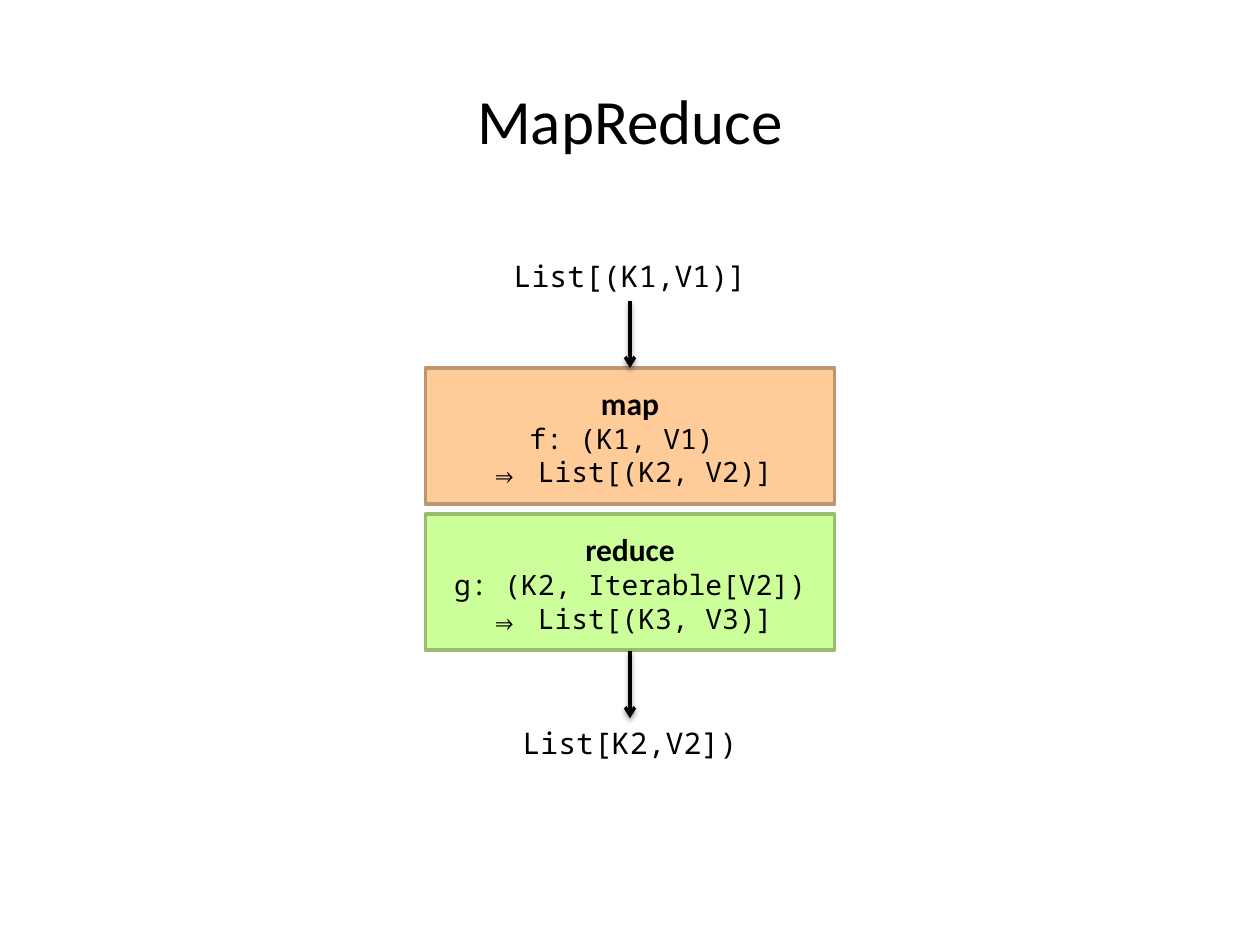
from typing import NamedTuple

import pptx
import pptx.dml.color
import pptx.enum.shapes
import pptx.enum.text
import pptx.oxml
import pptx.util
from pptx.util import Inches

SANS, MONO = "Calibri", "Noto Sans Mono"
BLACK = "000000"
CENTER_X = 5
STAGE_W, STAGE_H = 3.25, 1.08
LABEL_W, LABEL_H = 3.33, 0.39
NS = 'xmlns:a="http://schemas.openxmlformats.org/drawingml/2006/main"'
SHADOW = (
    f'<a:effectLst {NS}><a:outerShdw blurRad="{pptx.util.Pt(3.1)}" '
    f'dist="{pptx.util.Pt(1.6)}" dir="5400000" rotWithShape="0">'
    f'<a:srgbClr val="{BLACK}"><a:alpha val="38000"/></a:srgbClr>'
    "</a:outerShdw></a:effectLst>"
)


class Line(NamedTuple):
    text: str
    size: float
    font: str
    bold: bool = False


class Stage(NamedTuple):
    name: str
    signature: list[str]
    top: float
    fill: str
    border: str


class Label(NamedTuple):
    line: Line
    left: float
    top: float
    width: float
    height: float


STAGES = [
    Stage("map", ["f: (K1, V1) ", "⇒ List[(K2, V2)]"], 2.92, "FFCC99", "BD9771"),
    Stage("reduce", ["g: (K2, Iterable[V2]) ⇒ List[(K3, V3)]"], 4.08, "CCFF99", "97BD71"),
]
LABEL_X = CENTER_X - LABEL_W / 2
LABELS = [
    Label(Line("MapReduce", 36, SANS), 0, 0.6, 10, 0.75),
    Label(Line("List[(K1,V1)]", 17, MONO), LABEL_X, 2, LABEL_W, LABEL_H),
    Label(Line("List[K2,V2])", 17, MONO), LABEL_X, 5.7, LABEL_W, LABEL_H),
]
ARROWS = [(2.39, 2.92), (5.17, 5.7)]


def color(value: str) -> pptx.dml.color.RGBColor:
    return pptx.dml.color.RGBColor.from_string(value)


def write(tf, lines: list[Line]) -> None:
    """Write centred lines, one paragraph each."""
    tf.word_wrap = True
    for i, line in enumerate(lines):
        p = tf.paragraphs[0] if i == 0 else tf.add_paragraph()
        p.alignment = pptx.enum.text.PP_ALIGN.CENTER
        r = p.add_run()
        r.text = line.text
        formats = {"size": pptx.util.Pt(line.size), "name": line.font, "bold": line.bold}
        for name, value in formats.items():
            setattr(r.font, name, value)
        r.font.color.rgb = color(BLACK)


def draw_stage(s, stage: Stage) -> None:
    sp = s.shapes.add_shape(
        pptx.enum.shapes.MSO_SHAPE.RECTANGLE,
        Inches(CENTER_X - STAGE_W / 2), Inches(stage.top), Inches(STAGE_W), Inches(STAGE_H),
    )
    sp.shadow.inherit = False
    sp.fill.solid()
    sp.fill.fore_color.rgb = color(stage.fill)
    sp.line.color.rgb = color(stage.border)
    sp.line.width = pptx.util.Pt(2)
    sp.text_frame.vertical_anchor = pptx.enum.text.MSO_ANCHOR.MIDDLE
    signature = [Line(text, 16, MONO) for text in stage.signature]
    write(sp.text_frame, [Line(stage.name, 18, SANS, True), *signature])


def draw_label(s, label: Label) -> None:
    sp = s.shapes.add_textbox(*map(Inches, label[1:]))
    write(sp.text_frame, [label.line])


def draw_arrow(s, top: float, bottom: float) -> None:
    sp = s.shapes.add_connector(
        pptx.enum.shapes.MSO_CONNECTOR.STRAIGHT,
        Inches(CENTER_X), Inches(top), Inches(CENTER_X), Inches(bottom),
    )
    sp.line.color.rgb = color(BLACK)
    sp.line.width = pptx.util.Pt(2)
    # Arrowhead and soft shadow
    sp.line._get_or_add_ln().append(pptx.oxml.parse_xml(f'<a:tailEnd {NS} type="arrow"/>'))
    sp._element.spPr.append(pptx.oxml.parse_xml(SHADOW))


def main() -> None:
    prs = pptx.Presentation()
    prs.slide_width, prs.slide_height = Inches(10), Inches(7.5)
    s = prs.slides.add_slide(prs.slide_layouts[6])

    # Processing stages
    for stage in STAGES:
        draw_stage(s, stage)
    # Data flow
    for top, bottom in ARROWS:
        draw_arrow(s, top, bottom)
    # Title, input and output
    for label in LABELS:
        draw_label(s, label)

    prs.save("out.pptx")


if __name__ == "__main__":
    main()
